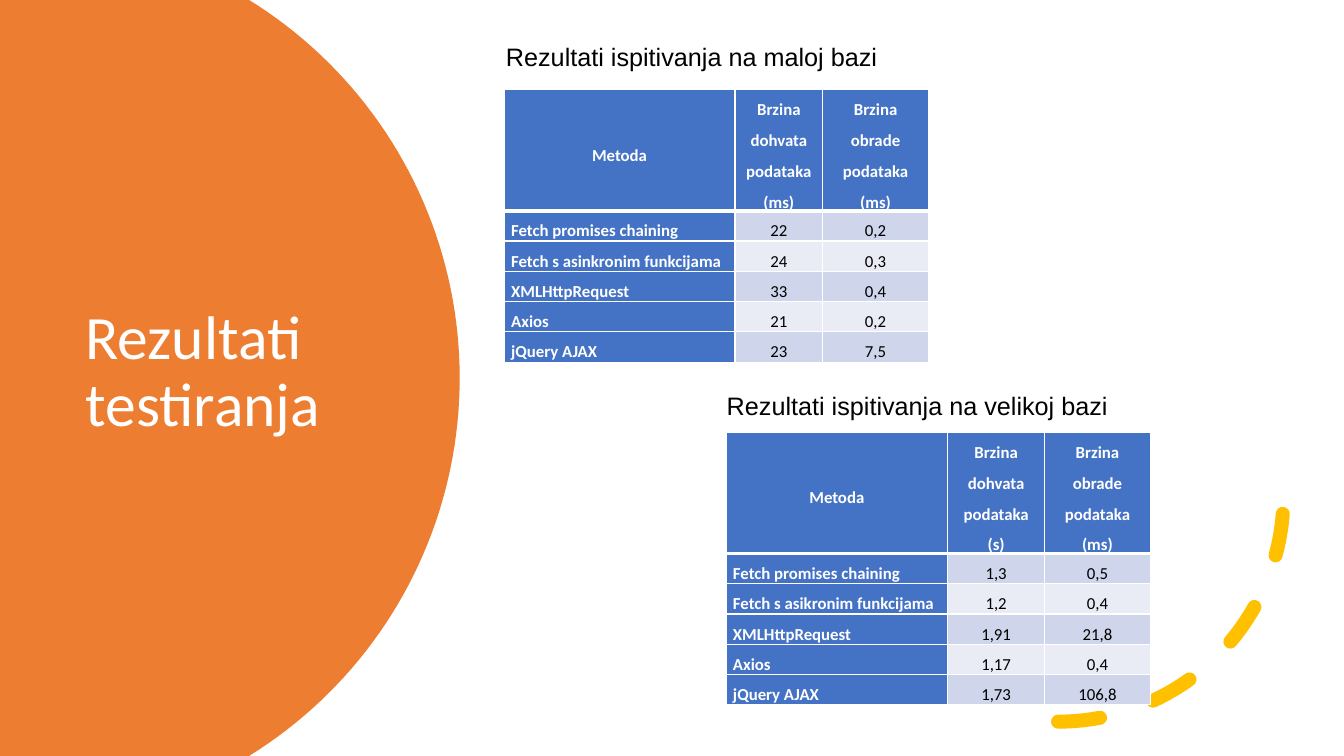
import math

import pptx
import pptx.dml.color
import pptx.enum.dml
import pptx.enum.shapes
import pptx.enum.text
import pptx.oxml
import pptx.oxml.ns
import pptx.util
from pptx.util import Inches

RGB = pptx.dml.color.RGBColor.from_string
ANCHOR = pptx.enum.text.MSO_ANCHOR
ALIGN = pptx.enum.text.PP_ALIGN
FIT = pptx.enum.text.MSO_AUTO_SIZE

THEME = {
    "orange": "ED7D31", "gold": "FFC000", "blue": "4472C4",
    "bands": ("CFD5EA", "E9EBF5"), "white": "FFFFFF", "black": "000000",
    "body_font": "Calibri", "caption_font": "Arial",
    "title_size": 44, "caption_size": 18, "table_size": 12,
}


def write(p, text, color, size, name, bold=False):
    r = p.add_run()
    r.text = text
    for key, value in {"size": pptx.util.Pt(size), "name": name, "bold": bold}.items():
        setattr(r.font, key, value)
    r.font.color.rgb = RGB(color)


def set_borders(cell, widths):
    """Draw white cell borders; widths maps L, R, T, B to points."""
    for side, width in widths.items():
        cell._tc.get_or_add_tcPr().append(pptx.oxml.parse_xml(
            f'<a:ln{side} {pptx.oxml.ns.nsdecls("a")} w="{width * 12700}"><a:solidFill>'
            f'<a:srgbClr val="{THEME["white"]}"/></a:solidFill></a:ln{side}>'))


prs = pptx.Presentation()
prs.slide_width, prs.slide_height = Inches(13.33), Inches(7.5)
s = prs.slides.add_slide(prs.slide_layouts[6])

# Orange panel: left part of a circle, cut off by the slide's edges
center_x, center_y, radius = 0.15, 3.75, 4.41
half_angle = math.asin(center_y / radius)
steps = 80
rim = []
for i in range(steps + 1):
    angle = half_angle * (2 * i / steps - 1)
    rim.append((Inches(center_x + radius * math.cos(angle)),
                Inches(center_y + radius * math.sin(angle))))
builder = s.shapes.build_freeform(0, 0)
builder.add_line_segments(rim + [(0, Inches(7.5))], close=True)
panel = builder.convert_to_shape()
panel.shadow.inherit = False
panel.fill.solid()
panel.fill.fore_color.rgb = RGB(THEME["orange"])
panel.line.fill.background()

title = s.shapes.add_textbox(Inches(0.75), Inches(1.26), Inches(3.5), Inches(4.88))
tf = title.text_frame
tf.word_wrap = True
tf.vertical_anchor = ANCHOR.MIDDLE
tf.paragraphs[0].line_spacing = 0.9
write(tf.paragraphs[0], "Rezultati testiranja", THEME["white"],
      THEME["title_size"], THEME["body_font"])

# Dashed arc in the lower right corner
arc = s.shapes.add_shape(pptx.enum.shapes.MSO_SHAPE.ARC,
                         Inches(8.26), Inches(2.69), Inches(4.47), Inches(4.47))
arc.shadow.inherit = False
arc.fill.background()
arc.line.color.rgb = RGB(THEME["gold"])
arc.line.width = pptx.util.Pt(10)
arc.line.dash_style = pptx.enum.dml.MSO_LINE.DASH
arc.line._get_or_add_ln().set("cap", "rnd")
arc._element.spPr.find(pptx.oxml.ns.qn("a:xfrm")).set("flipV", "1")

results = [
    {"at": (5, 0.89), "cols": (2.29, 0.87, 1.05), "header_height": 1.1,
     "rows": [
         ("Metoda", "Brzina dohvata podataka (ms)", "Brzina obrade podataka (ms)"),
         ("Fetch promises chaining", "22", "0,2"),
         ("Fetch s asinkronim funkcijama", "24", "0,3"),
         ("XMLHttpRequest", "33", "0,4"),
         ("Axios", "21", "0,2"),
         ("jQuery AJAX", "23", "7,5")]},
    {"at": (7.2, 4.29), "cols": (2.2, 0.96, 1.05), "header_height": 0.82,
     "rows": [
         ("Metoda", "Brzina dohvata podataka (s)", "Brzina obrade podataka (ms)"),
         ("Fetch promises chaining", "1,3", "0,5"),
         ("Fetch s asikronim funkcijama", "1,2", "0,4"),
         ("XMLHttpRequest", "1,91", "21,8"),
         ("Axios", "1,17", "0,4"),
         ("jQuery AJAX", "1,73", "106,8")]},
]
for result in results:
    left, top = result["at"]
    rows, cols = result["rows"], result["cols"]
    frame = s.shapes.add_table(len(rows), len(cols), Inches(left), Inches(top),
                               Inches(sum(cols)), Inches(2.51))
    table = frame.table
    table.first_col = True
    for column, width in zip(table.columns, cols):
        column.width = Inches(width)
    for i, values in enumerate(rows):
        table.rows[i].height = Inches(0.25 if i else result["header_height"])
        for j, value in enumerate(values):
            cell = table.cell(i, j)
            heading = i == 0 or j == 0
            layout = {"margin_left": Inches(0.07), "margin_right": Inches(0.07),
                      "margin_top": 0, "margin_bottom": 0,
                      "vertical_anchor": ANCHOR.BOTTOM if i else ANCHOR.MIDDLE}
            for key, setting in layout.items():
                setattr(cell, key, setting)
            set_borders(cell, {"L": 1, "R": 1, "T": 3 if i == 1 else 1,
                               "B": 1 if i else 3})
            cell.fill.solid()
            cell.fill.fore_color.rgb = RGB(
                THEME["blue"] if heading else THEME["bands"][(i - 1) % 2])
            p = cell.text_frame.paragraphs[0]
            p.alignment = ALIGN.LEFT if i and j == 0 else ALIGN.CENTER
            p.line_spacing = 1.5
            p.space_after = pptx.util.Pt(8)
            write(p, value, THEME["white" if heading else "black"],
                  THEME["table_size"], THEME["body_font"], heading)

captions = [(4.92, 0.36, "Rezultati ispitivanja na maloj bazi"),
            (7.11, 3.82, "Rezultati ispitivanja na velikoj bazi")]
for left, top, text in captions:
    caption = s.shapes.add_textbox(Inches(left), Inches(top), Inches(6.67), Inches(0.4))
    tf = caption.text_frame
    tf.word_wrap = True
    tf.auto_size = FIT.SHAPE_TO_FIT_TEXT
    write(tf.paragraphs[0], text, THEME["black"],
          THEME["caption_size"], THEME["caption_font"])

prs.save("out.pptx")
